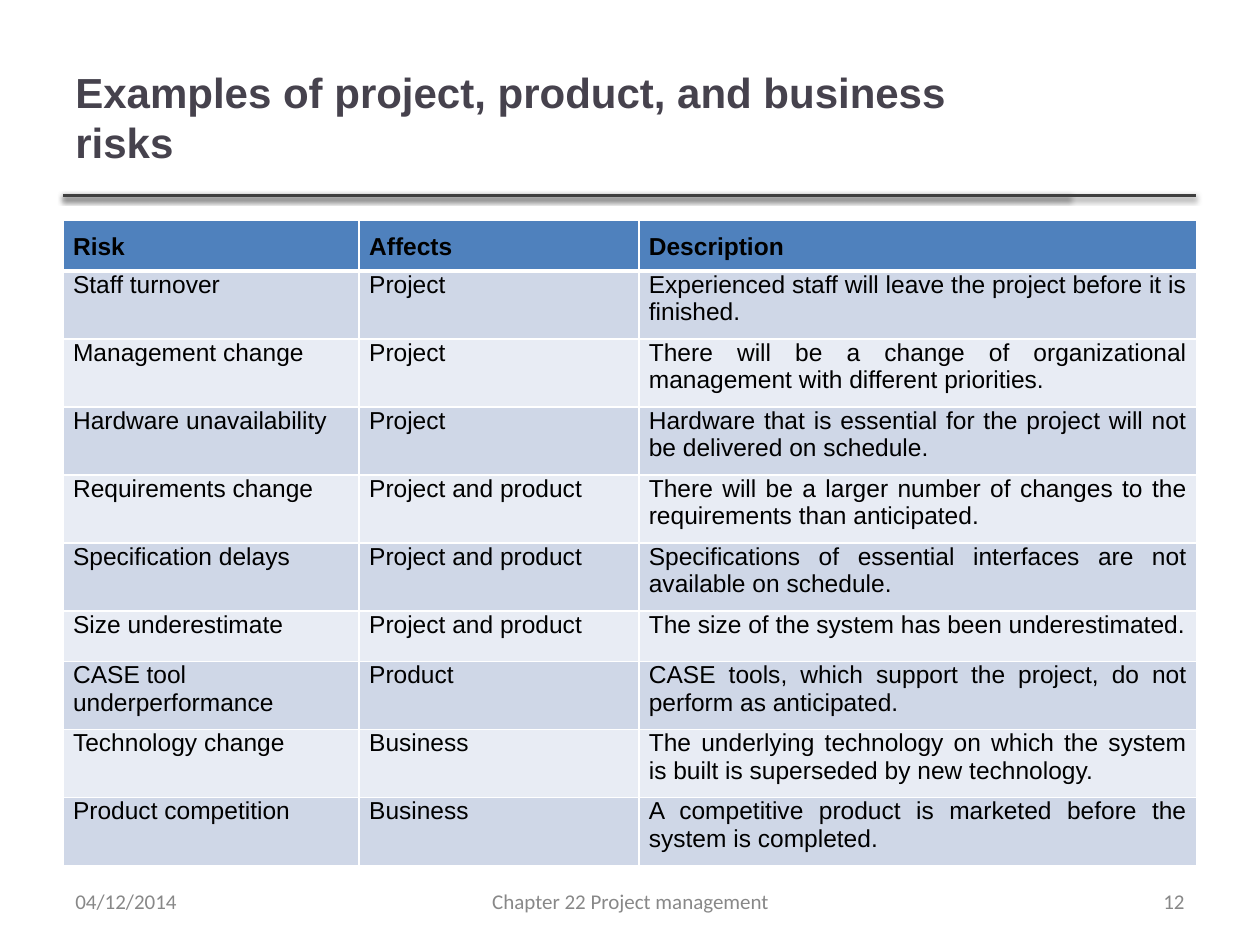
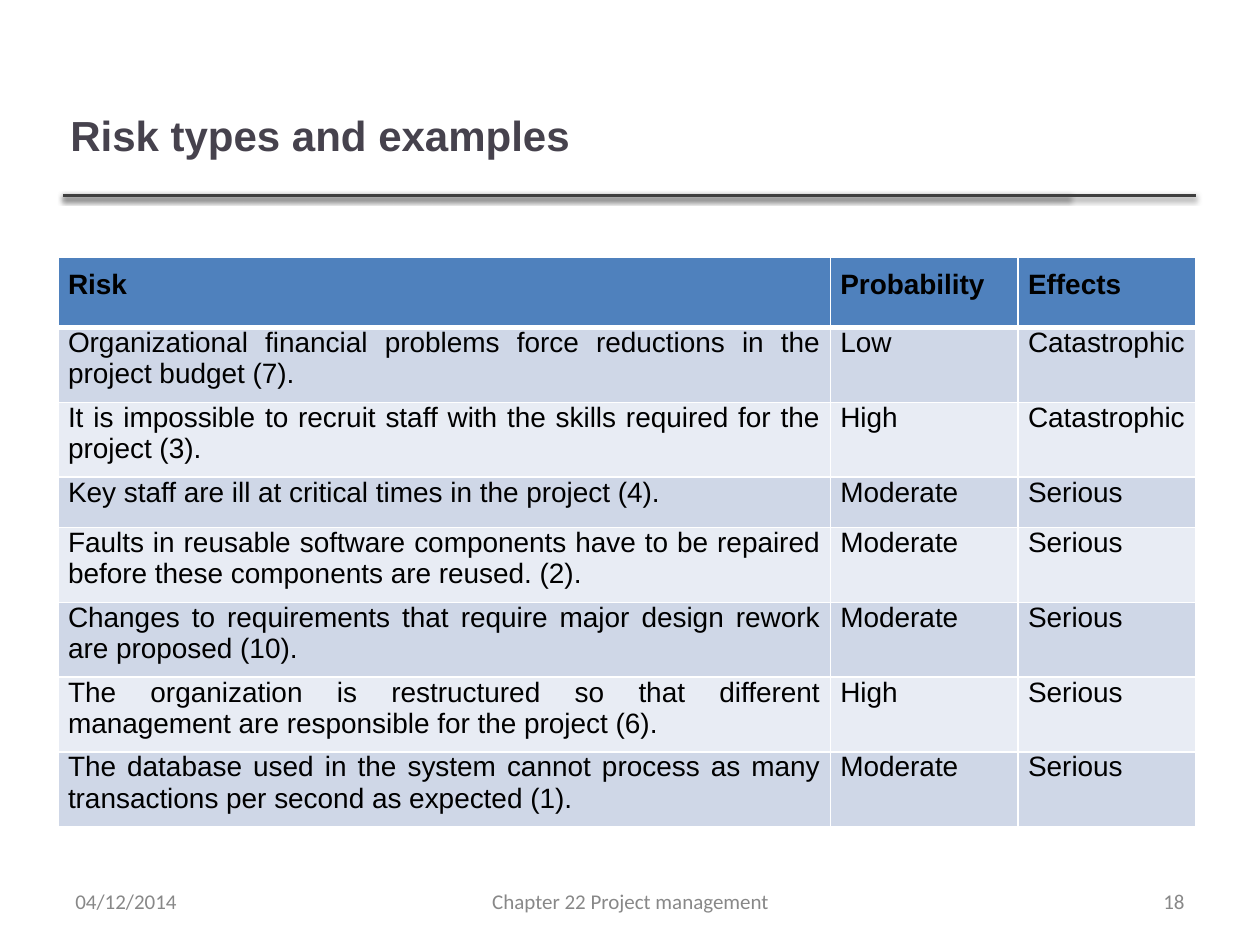
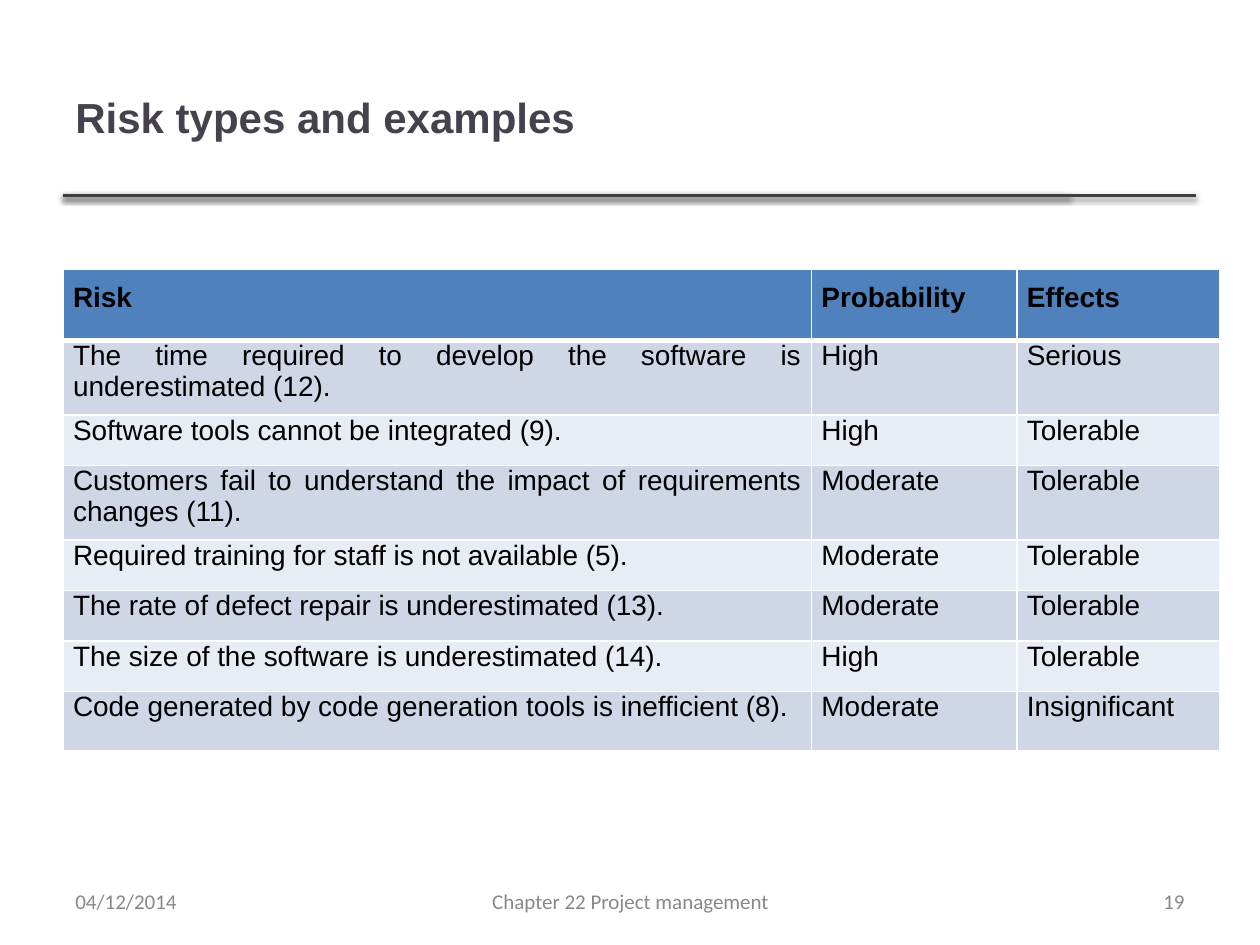
from dataclasses import dataclass

from lxml.etree import SubElement
from pptx import Presentation
from pptx.dml.color import RGBColor
from pptx.enum.shapes import MSO_CONNECTOR
from pptx.enum.text import MSO_ANCHOR, PP_ALIGN
from pptx.oxml.ns import qn
from pptx.util import Inches, Pt


@dataclass(frozen=True)
class Theme:
    """Colours, fonts and type sizes shared by every slide."""

    title_color: str = "46424D"
    rule_color: str = "3F3F3F"
    shadow_color: str = "000000"
    text_color: str = "000000"
    footer_color: str = "888888"
    header_fill: str = "4F81BD"
    band_fills: tuple = ("CFD7E7", "E8ECF4")
    border_color: str = "FFFFFF"
    border: int = 1
    header_border: int = 3
    body_font: str = "Arial"
    footer_font: str = "Calibri"
    title_size: int = 24
    footer_size: int = 12
    example_size: int = 14
    risk_size: int = 16


THEME = Theme()
LEFT, CENTER, RIGHT, JUSTIFY = PP_ALIGN.LEFT, PP_ALIGN.CENTER, PP_ALIGN.RIGHT, PP_ALIGN.JUSTIFY
TITLE_AREA = (0.5, 0.3, 7.95, 1.25)
RISK_HEADER = ("Risk", "Probability", "Effects")

EXAMPLE_ROWS = [
    ("Risk", "Affects", "Description"),
    ("Staff turnover", "Project",
     "Experienced staff will leave the project before it is finished."),
    ("Management change", "Project",
     "There will be a change of organizational management with different priorities."),
    ("Hardware unavailability", "Project",
     "Hardware that is essential for the project will not be delivered on schedule."),
    ("Requirements change", "Project and product",
     "There will be a larger number of changes to the requirements than anticipated."),
    ("Specification delays", "Project and product",
     "Specifications of essential interfaces are not available on schedule."),
    ("Size underestimate", "Project and product",
     "The size of the system has been underestimated."),
    ("CASE tool underperformance", "Product",
     "CASE tools, which support the project, do not perform as anticipated."),
    ("Technology change", "Business",
     "The underlying technology on which the system is built is superseded by new technology."),
    ("Product competition", "Business",
     "A competitive product is marketed before the system is completed."),
]

SEVERE_ROWS = [
    RISK_HEADER,
    ("Organizational financial problems force reductions in the project budget (7).",
     "Low", "Catastrophic"),
    ("It is impossible to recruit staff with the skills required for the project (3).",
     "High", "Catastrophic"),
    ("Key staff are ill at critical times in the project (4).", "Moderate", "Serious"),
    ("Faults in reusable software components have to be repaired before these components "
     "are reused. (2).", "Moderate", "Serious"),
    ("Changes to requirements that require major design rework are proposed (10).",
     "Moderate", "Serious"),
    ("The organization is restructured so that different management are responsible "
     "for the project (6).", "High", "Serious"),
    ("The database used in the system cannot process as many transactions per second "
     "as expected (1).", "Moderate", "Serious"),
]

TOLERABLE_ROWS = [
    RISK_HEADER,
    ("The time required to develop the software is underestimated (12).", "High", "Serious"),
    ("Software tools cannot be integrated (9).", "High", "Tolerable"),
    ("Customers fail to understand the impact of requirements changes (11).",
     "Moderate", "Tolerable"),
    ("Required training for staff is not available (5).", "Moderate", "Tolerable"),
    ("The rate of defect repair is underestimated (13).", "Moderate", "Tolerable"),
    ("The size of the software is underestimated (14).", "High", "Tolerable"),
    ("Code generated by code generation tools is inefficient (8).",
     "Moderate", "Insignificant"),
]


def write(frame, text, font, size, color, bold=False, align=LEFT):
    """Write one formatted run into the first paragraph of a text frame."""
    para = frame.paragraphs[0]
    para.alignment = align
    span = para.add_run()
    span.text = text
    span.font.name = font
    span.font.size = Pt(size)
    span.font.bold = bold
    span.font.color.rgb = RGBColor.from_string(color)


def add_text(page, area, text, font, size, color, **style):
    """Add a wrapped, vertically centred text box."""
    box = page.shapes.add_textbox(*map(Inches, area))
    frame = box.text_frame
    frame.word_wrap = True
    frame.vertical_anchor = MSO_ANCHOR.MIDDLE
    write(frame, text, font, size, color, **style)


def add_rule(page, right):
    """Add a title rule with a soft shadow below it."""
    top = Inches(1.55)
    rule = page.shapes.add_connector(MSO_CONNECTOR.STRAIGHT, Inches(0.5), top, Inches(right), top)
    rule.line.color.rgb = RGBColor.from_string(THEME.rule_color)
    rule.line.width = Pt(2)
    effects = SubElement(rule._element.spPr, qn("a:effectLst"))
    shadow = SubElement(effects, qn("a:outerShdw"), blurRad=str(Pt(3.1)), dist=str(Pt(1.6)),
                        dir="5400000", rotWithShape="0")
    color = SubElement(shadow, qn("a:srgbClr"), val=THEME.shadow_color)
    SubElement(color, qn("a:alpha"), val="38000")


def add_borders(cell, top, bottom):
    """Draw the four cell borders with the given top and bottom widths."""
    properties = cell._tc.get_or_add_tcPr()
    widths = {"a:lnL": THEME.border, "a:lnR": THEME.border, "a:lnT": top, "a:lnB": bottom}
    for edge, width in widths.items():
        line = SubElement(properties, qn(edge), w=str(Pt(width)))
        fill = SubElement(line, qn("a:solidFill"))
        SubElement(fill, qn("a:srgbClr"), val=THEME.border_color)


def style_cell(cell, row, text, size, align):
    """Fill, border and write one table cell according to its row."""
    header = row == 0
    cell.margin_left = cell.margin_right = Inches(0.08)
    cell.margin_top = Inches(0.1 if header else 0)
    cell.margin_bottom = Inches(0.06)
    add_borders(cell, THEME.header_border if row == 1 else THEME.border,
                THEME.header_border if header else THEME.border)
    cell.fill.solid()
    fill = THEME.header_fill if header else THEME.band_fills[(row - 1) % 2]
    cell.fill.fore_color.rgb = RGBColor.from_string(fill)
    write(cell.text_frame, text, THEME.body_font, size, THEME.text_color, header, align)


def add_risk_table(page, left, top, widths, heights, rows, size, aligns=(JUSTIFY,) * 3):
    """Add a banded risk table whose first row is the header."""
    table = page.shapes.add_table(len(rows), len(widths), Inches(left), Inches(top),
                                  Inches(sum(widths)), Inches(sum(heights))).table
    table.first_row = table.horz_banding = False
    for column, width in zip(table.columns, widths):
        column.width = Inches(width)
    for row, (texts, height) in enumerate(zip(rows, heights)):
        table.rows[row].height = Inches(height)
        for column, text in enumerate(texts):
            align = aligns[column] if row else JUSTIFY
            style_cell(table.cell(row, column), row, text, size, align)


def add_page(deck, title, number, title_area=TITLE_AREA):
    """Add a slide with its title, rules and footer."""
    page = deck.slides.add_slide(deck.slide_layouts[6])
    for right in (8.49, 9.49):
        add_rule(page, right)
    add_text(page, title_area, title, THEME.body_font, THEME.title_size,
             THEME.title_color, bold=True)
    footers = [(0.5, 2.33, "04/12/2014", LEFT),
               (3.42, 3.17, "Chapter 22 Project management", CENTER),
               (7.17, 2.33, str(number), RIGHT)]
    for left, width, text, align in footers:
        add_text(page, (left, 6.95, width, 0.4), text, THEME.footer_font,
                 THEME.footer_size, THEME.footer_color, align=align)
    return page


def main():
    """Build the three risk slides and save the deck."""
    deck = Presentation()
    deck.slide_width, deck.slide_height = Inches(10), Inches(7.5)

    page = add_page(deck, "Examples of project, product, and business risks", 12)
    heights = [0.4] + [0.54] * 5 + [0.4] + [0.54] * 3
    add_risk_table(page, 0.5, 1.75, (2.35, 2.22, 4.43), heights, EXAMPLE_ROWS,
                   THEME.example_size, (LEFT, LEFT, JUSTIFY))

    page = add_page(deck, "Risk types and examples", 18, (0.46, 0.49, 7.63, 1.15))
    heights = [0.56, 0.59, 0.59, 0.4] + [0.59] * 4
    add_risk_table(page, 0.46, 2.04, (6.13, 1.49, 1.41), heights, SEVERE_ROWS,
                   THEME.risk_size)

    page = add_page(deck, "Risk types and examples", 19)
    heights = [0.56, 0.59, 0.4, 0.59] + [0.4] * 3 + [0.47]
    add_risk_table(page, 0.5, 2.14, (5.94, 1.63, 1.61), heights, TOLERABLE_ROWS,
                   THEME.risk_size)

    deck.save("out.pptx")


if __name__ == "__main__":
    main()
